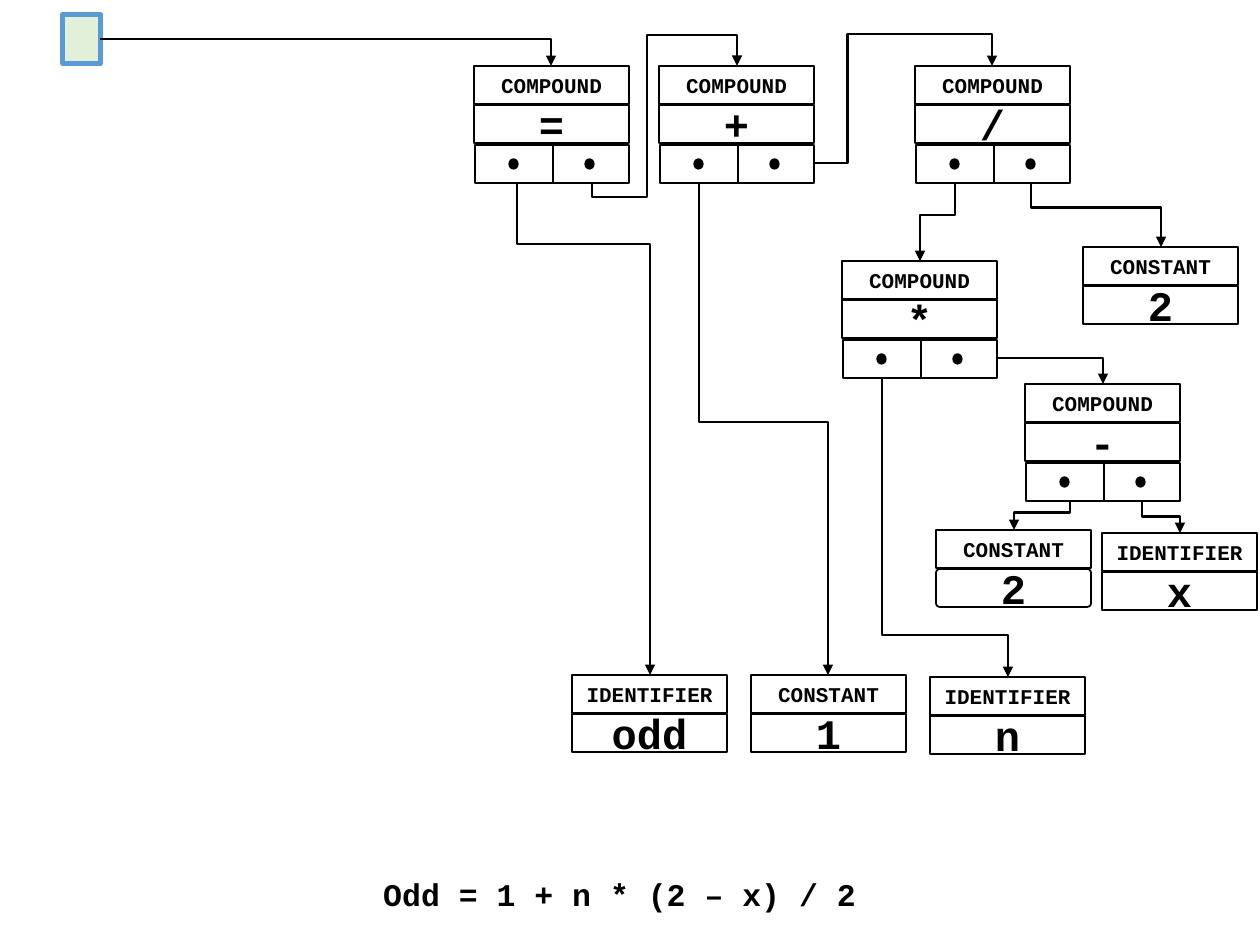
from lxml.etree import SubElement
from pptx import Presentation
from pptx.dml.color import RGBColor
from pptx.enum.shapes import MSO_CONNECTOR, MSO_SHAPE
from pptx.enum.text import MSO_ANCHOR, PP_ALIGN
from pptx.oxml.ns import qn
from pptx.util import Emu, Pt

BLACK, WHITE, GREEN, BLUE = "000000", "FFFFFF", "E2F0D9", "5B9BD5"
WIDTH, ROW = 155, 38
VALUE_TOP, CELLS_TOP = 39, 79


def px(length):
    return Emu(round(length * 914400 / 126))


def color(value):
    return RGBColor.from_string(value)


class TreeSlide:
    """Draws the boxes, wires and text of an expression tree on one slide."""

    font = "Courier New"

    def __init__(self, deck):
        self.page = deck.slides.add_slide(deck.slide_layouts[6])

    def label(self, shape, text, size):
        frame = shape.text_frame
        frame.word_wrap = True
        frame.text = text
        paragraph = frame.paragraphs[0]
        paragraph.alignment = PP_ALIGN.CENTER
        font = paragraph.runs[0].font
        font.name, font.size, font.bold = self.font, Pt(size), True
        font.color.rgb = color(BLACK)

    def shape(self, kind, left, top, width, height, fill=WHITE, line=BLACK, weight=1.5):
        shape = self.page.shapes.add_shape(kind, px(left), px(top), px(width), px(height))
        shape.shadow.inherit = False
        shape.fill.solid()
        shape.fill.fore_color.rgb = color(fill)
        shape.line.color.rgb = color(line)
        shape.line.width = Pt(weight)
        return shape

    def box(self, left, top, width, text="", size=12, weight=1.5, corner=0):
        box = self.shape(MSO_SHAPE.ROUNDED_RECTANGLE, left, top, width, ROW, weight=weight)
        box.adjustments[0] = corner
        if text:
            box.text_frame.vertical_anchor = MSO_ANCHOR.MIDDLE
            self.label(box, text, size)

    def leaf(self, left, top, title, value, corner=0):
        self.box(left, top + VALUE_TOP, WIDTH, value, size=24, weight=1, corner=corner)
        self.box(left, top, WIDTH, title)

    def compound(self, left, top, operator):
        self.leaf(left, top, "COMPOUND", operator)
        self.box(left + 1, top + CELLS_TOP, 78)
        self.box(left + 79, top + CELLS_TOP, 76)
        for offset in (35, 111):
            self.shape(MSO_SHAPE.OVAL, left + offset, top + 93, 9, 10, fill=BLACK, weight=0.75)

    def wire(self, start, end, bends=(0.5,), downward=True):
        (x1, y1), (x2, y2) = start, end
        if downward:
            middle_x, middle_y = (x1 + x2) / 2, (y1 + y2) / 2
            half_x, half_y = (y2 - y1) / 2, (x1 - x2) / 2
            x1, x2 = middle_x - half_x, middle_x + half_x
            y1, y2 = middle_y - half_y, middle_y + half_y
        wire = self.page.shapes.add_connector(MSO_CONNECTOR.ELBOW, px(x1), px(y1), px(x2), px(y2))
        wire.line.color.rgb = color(BLACK)
        wire.line.width = Pt(1.5)
        properties = wire._element.spPr
        if downward:
            properties.find(qn("a:xfrm")).set("rot", "5400000")
        geometry = properties.find(qn("a:prstGeom"))
        geometry.set("prst", f"bentConnector{len(bends) + 2}")
        guides = geometry.find(qn("a:avLst"))
        for number, bend in enumerate(bends, 1):
            SubElement(guides, qn("a:gd"), name=f"adj{number}", fmla=f"val {round(bend * 100000)}")
        SubElement(properties.find(qn("a:ln")), qn("a:tailEnd"), type="triangle")
        SubElement(properties, qn("a:effectLst"))

    def caption(self, left, top, width, height, text):
        caption = self.page.shapes.add_textbox(px(left), px(top), px(width), px(height))
        self.label(caption, text, 18)


def main():
    deck = Presentation()
    deck.slide_width, deck.slide_height = px(1260), px(945)
    tree = TreeSlide(deck)
    tree.caption(340, 869, 578, 50, "Odd = 1 + n * (2 – x) / 2 ")

    root = tree.shape(MSO_SHAPE.RECTANGLE, 57, 20, 49, 38, GREEN, BLUE, 3)
    root.rotation = 90
    tree.wire((100, 39), (551, 66), (), downward=False)
    tree.wire((973, 358), (1103, 384), (), downward=False)
    tree.wire((780, 163), (992, 66), (0.32, 1.33), downward=False)
    tree.wire((592, 166), (737, 66), (-0.31, 0.38, 1.31))
    tree.wire((517, 168), (650, 675), (0.15,))
    tree.wire((882, 377), (1008, 677), (0.86,))
    for start, end in [
        ((699, 169), (828, 675)),
        ((1070, 495), (1014, 530)),
        ((1142, 500), (1180, 533)),
        ((955, 169), (920, 261)),
        ((1031, 168), (1161, 247)),
    ]:
        tree.wire(start, end)

    for left, top, operator in [
        (474, 66, "="),
        (659, 66, "+"),
        (915, 66, "/"),
        (842, 261, "*"),
        (1025, 384, "-"),
    ]:
        tree.compound(left, top, operator)

    for left, top, title, value, corner in [
        (572, 675, "IDENTIFIER", "odd", 0),
        (751, 675, "CONSTANT", "1", 0),
        (930, 677, "IDENTIFIER", "n", 0),
        (936, 530, "CONSTANT", "2", 0.1),
        (1102, 533, "IDENTIFIER", "x", 0),
        (1083, 247, "CONSTANT", "2", 0),
    ]:
        tree.leaf(left, top, title, value, corner)

    deck.save("out.pptx")


if __name__ == "__main__":
    main()
